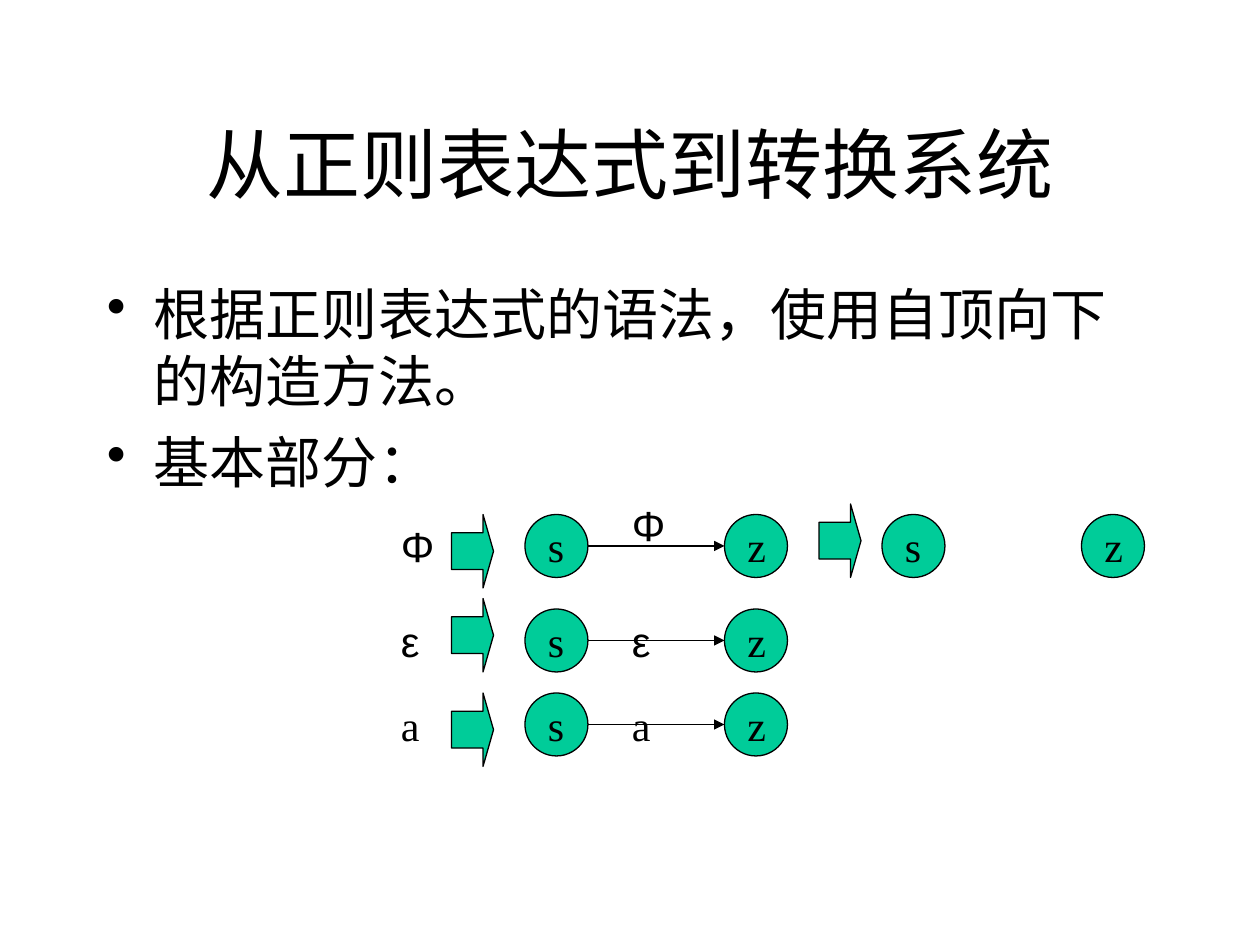
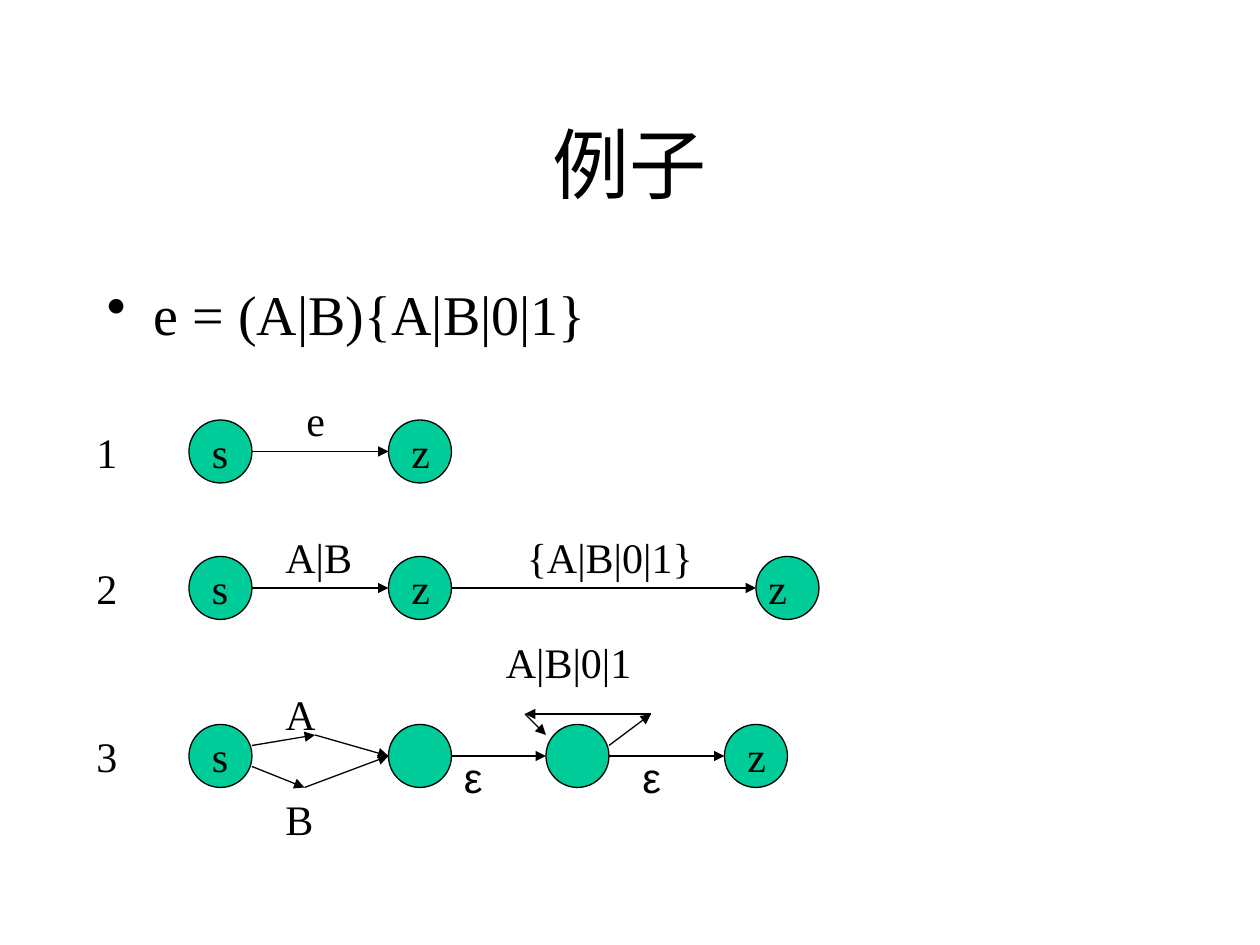
import pptx
import pptx.dml.color
import pptx.enum.dml
import pptx.enum.shapes
import pptx.enum.text
import pptx.oxml
import pptx.oxml.ns
import pptx.util
from lxml import etree

Cm, Pt = pptx.util.Cm, pptx.util.Pt
Align = pptx.enum.text.PP_ALIGN
Anchor = pptx.enum.text.MSO_ANCHOR
Shapes = pptx.enum.shapes.MSO_SHAPE

BLACK = pptx.dml.color.RGBColor(0x00, 0x00, 0x00)
GREEN = pptx.dml.color.RGBColor(0x00, 0xCC, 0x99)
SERIF, SANS = "Times New Roman", "Arial"
LINE_WIDTH = Pt(0.75)

# Places are counted in steps of a twelfth of an inch
STEP = 2.54 / 12
SLIDE_SIZE = (120, 90)
TITLE_BOX = (9, 8, 102, 15)
NODE = 6
ARROW_SIZE = (4, 7)
LABEL_HEIGHT = 6

# Slide 1: symbol, font, row top, block arrow top, edge label top
SYSTEM_TITLE = "从正则表达式到转换系统"
SYSTEM_POINTS = ["根据正则表达式的语法，使用自顶向下的构造方法。", "基本部分："]
SYSTEM_ROWS = [
    ("Φ", SANS, 49, 49, 47),
    ("ε", SANS, 58, 57, 58),
    ("a", SERIF, 66, 66, 66),
]
SYMBOL_LEFT, ARROW_LEFT, EDGE_LABEL_LEFT = 37, 43, 59
START_LEFT, END_LEFT = 50, 69
RESULT_ARROW = (78, 48)
RESULT_NODES = [("s", 84), ("z", 103)]

# Slide 2: nodes are (text, left, text offset), labels are (text, left, top, width, font)
EXAMPLE_TITLE = "例子"
EXAMPLE_POINTS = ["e = (A|B){A|B|0|1}"]
STEP_NUMBER_LEFT = 8
EXAMPLE_STEPS = [
    {
        "top": 40,
        "nodes": [("s", 18, 1), ("z", 37, 1)],
        "paths": [[(24, 43), (37, 43)]],
        "labels": [("e", 28, 37, 8, SERIF)],
    },
    {
        "top": 53,
        "nodes": [("s", 18, 1), ("z", 37, 1), ("z", 72, 0)],
        "paths": [[(24, 56), (37, 56)], [(43, 56), (72, 56)]],
        "labels": [("A|B", 26, 50, 10, SERIF), ("{A|B|0|1}", 49, 50, 19, SERIF)],
    },
    {
        "top": 69,
        "nodes": [("s", 18, 1), ("", 37, 1), ("", 52, 1), ("z", 69, 1)],
        "paths": [
            [(24, 71), (30, 70), (37, 72)],
            [(24, 73), (29, 75), (37, 72)],
            [(43, 72), (52, 72)],
            [(58, 72), (69, 72)],
            [(58, 71), (62, 68), (50, 68), (52, 70)],
        ],
        "labels": [
            ("A", 26, 65, 5, SERIF),
            ("B", 26, 75, 5, SERIF),
            ("A|B|0|1", 47, 60, 19, SERIF),
            ("ε", 43, 71, 7, SANS),
            ("ε", 60, 71, 7, SANS),
        ],
    },
]


def steps(*counts):
    return [Cm(count * STEP) for count in counts]


def write_text(frame, texts, size=24, font=SERIF, align=Align.LEFT,
               anchor=Anchor.TOP, space_before=15, bullet=False):
    frame.word_wrap = True
    frame.auto_size = pptx.enum.text.MSO_AUTO_SIZE.NONE
    frame.vertical_anchor = anchor
    for index, text in enumerate(texts):
        paragraph = frame.add_paragraph() if index else frame.paragraphs[0]
        paragraph.alignment = align
        paragraph.space_before = Pt(space_before)
        run = paragraph.add_run()
        run.text = text
        run.font.size = Pt(size)
        run.font.name = font
        run.font.color.rgb = BLACK
        if bullet:
            properties = paragraph._p.get_or_add_pPr()
            indent = Cm(0.95)
            properties.set("marL", str(indent))
            properties.set("indent", str(-indent))
            mark = etree.SubElement(properties, pptx.oxml.ns.qn("a:buChar"))
            mark.set("char", "•")


def add_label(slide, text, left, top, width=NODE, font=SERIF):
    box = slide.shapes.add_textbox(*steps(left, top, width, LABEL_HEIGHT))
    write_text(box.text_frame, [text], font=font)


def add_green_shape(slide, kind, left, top, width, height):
    shape = slide.shapes.add_shape(kind, *steps(left, top, width, height))
    shape.shadow.inherit = False
    shape.fill.solid()
    shape.fill.fore_color.rgb = GREEN
    shape.line.color.rgb = BLACK
    shape.line.width = LINE_WIDTH
    return shape


def add_node(slide, text, left, top, text_offset=1):
    add_green_shape(slide, Shapes.OVAL, left, top, NODE, NODE)
    if text:
        add_label(slide, text, left + text_offset, top)


def add_block_arrow(slide, left, top):
    arrow = add_green_shape(slide, Shapes.RIGHT_ARROW, left, top, *ARROW_SIZE)
    arrow.adjustments[0] = 0.5
    arrow.adjustments[1] = 0.25


def add_path(slide, points):
    """Join the points with arrows, one after the other."""
    for start, end in zip(points, points[1:]):
        connector = slide.shapes.add_connector(
            pptx.enum.shapes.MSO_CONNECTOR.STRAIGHT, *steps(*start, *end))
        connector.line.color.rgb = BLACK
        connector.line.width = LINE_WIDTH
        head = etree.SubElement(connector.line._get_or_add_ln(), pptx.oxml.ns.qn("a:tailEnd"))
        head.set("type", "triangle")
        etree.SubElement(connector._element.spPr, pptx.oxml.ns.qn("a:effectLst"))


def add_slide(presentation, title, points, body_height):
    slide = presentation.slides.add_slide(presentation.slide_layouts.get_by_name("Title Only"))
    heading = slide.shapes.title
    heading.left, heading.top, heading.width, heading.height = steps(*TITLE_BOX)
    write_text(heading.text_frame, [title], size=44, align=Align.CENTER,
               anchor=Anchor.MIDDLE, space_before=0)
    body = slide.shapes.add_textbox(*steps(9, 26, 102, body_height))
    write_text(body.text_frame, points, size=32, space_before=8, bullet=True)
    return slide


def build_system_slide(presentation):
    slide = add_slide(presentation, SYSTEM_TITLE, SYSTEM_POINTS, 24)
    for symbol, font, top, arrow_top, label_top in SYSTEM_ROWS:
        add_label(slide, symbol, SYMBOL_LEFT, top, width=5, font=font)
        add_block_arrow(slide, ARROW_LEFT, arrow_top)
        add_node(slide, "s", START_LEFT, top)
        add_node(slide, "z", END_LEFT, top)
        middle = top + NODE / 2
        add_path(slide, [(START_LEFT + NODE, middle), (END_LEFT, middle)])
        add_label(slide, symbol, EDGE_LABEL_LEFT, label_top, font=font)
    # The empty language leaves two nodes without an edge
    add_block_arrow(slide, *RESULT_ARROW)
    for text, left in RESULT_NODES:
        add_node(slide, text, left, SYSTEM_ROWS[0][2])


def build_example_slide(presentation):
    slide = add_slide(presentation, EXAMPLE_TITLE, EXAMPLE_POINTS, 9)
    for number, step in enumerate(EXAMPLE_STEPS, start=1):
        add_label(slide, str(number), STEP_NUMBER_LEFT, step["top"], width=5)
        for text, left, text_offset in step["nodes"]:
            add_node(slide, text, left, step["top"], text_offset)
        for points in step["paths"]:
            add_path(slide, points)
        for text, left, top, width, font in step["labels"]:
            add_label(slide, text, left, top, width, font)


def main():
    presentation = pptx.Presentation()
    presentation.slide_width, presentation.slide_height = steps(*SLIDE_SIZE)
    build_system_slide(presentation)
    build_example_slide(presentation)
    presentation.save("out.pptx")


if __name__ == "__main__":
    main()
